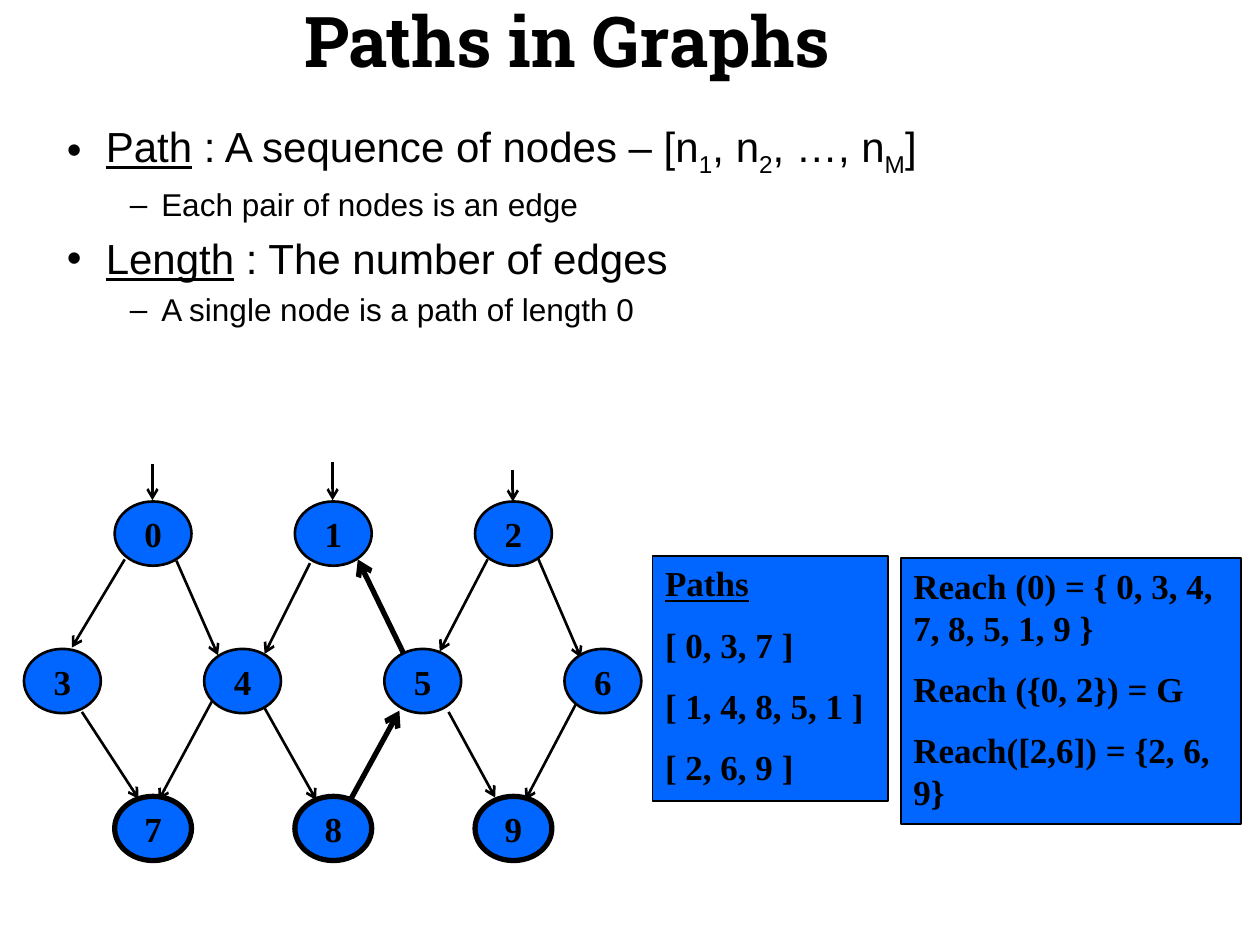
from dataclasses import dataclass

from lxml import etree
from pptx import Presentation
from pptx import util as u
from pptx.dml.color import RGBColor
from pptx.enum import shapes, text
from pptx.oxml import ns


@dataclass(frozen=True)
class Theme:
    """Colours, fonts and sizes of the slide."""
    ink: RGBColor = RGBColor(0, 0, 0)
    fill: RGBColor = RGBColor(0, 0x66, 0xFF)
    title_font: str = "Roboto Slab"
    body_font: str = "Arial"
    graph_font: str = "Times New Roman"
    title_size: int = 40
    topic_size: int = 24
    detail_size: int = 18
    graph_size: int = 20
    thin: float = 1.5
    thick: float = 3


THEME = Theme()

TOPICS = [
    (0, [("Path", "u"), (" : A sequence of nodes – [n", ""), ("1", "sub"), (", n", ""),
         ("2", "sub"), (", …, n", ""), ("M", "sub"), ("]", "")]),
    (1, [("Each pair of nodes is an edge", "")]),
    (0, [("Length", "u"), (" : The number of edges", "")]),
    (1, [("A single node is a path of length 0", "")]),
]

NODE_SIZE = (0.61, 0.51)
COLUMN_GAP, ROW_GAP = 1.43, 1.17
NODE_ROWS = [(0.72, "012", THEME.thin), (0, "3456", THEME.thin), (0.72, "789", THEME.thick)]

ARROWS = [
    (1.02, 0.01, 1.02, 0.30), (2.45, 0, 2.45, 0.30), (3.88, 0.06, 3.88, 0.31),
    (0.80, 0.77, 0.38, 1.47), (1.21, 0.78, 1.54, 1.53), (2.27, 0.80, 1.91, 1.52),
    (3.68, 0.77, 3.30, 1.50), (4.08, 0.76, 4.42, 1.55), (0.46, 1.98, 0.91, 2.67),
    (1.49, 1.90, 1.07, 2.68), (1.91, 1.95, 2.32, 2.68), (3.37, 1.98, 3.74, 2.66),
    (4.38, 1.92, 3.98, 2.68),
]
CYCLE_ARROWS = [(2.59, 2.68, 2.98, 1.97), (3.02, 1.53, 2.65, 0.77)]

PATHS = ["Paths", "[ 0, 3, 7 ]", "[ 1, 4, 8, 5, 1 ]", "[ 2, 6, 9 ]"]
REACH = ["Reach (0) = { 0, 3, 4, 7, 8, 5, 1, 9 }", "Reach ({0, 2}) = G",
         "Reach([2,6]) = {2, 6, 9}"]


def place(shape, box):
    """Move a shape to a box given in inches."""
    shape.left, shape.top, shape.width, shape.height = map(u.Inches, box)


def style(para, name, size, bold=False):
    """Set the font of a whole paragraph."""
    font = para.font
    font.name, font.size, font.bold = name, u.Pt(size), bold
    font.color.rgb = THEME.ink


def add_title(page, box):
    """Fill the title placeholder."""
    title = page.shapes.title
    place(title, box)
    frame = title.text_frame
    frame.text = "Paths in Graphs"
    frame.auto_size = text.MSO_AUTO_SIZE.NONE
    frame.vertical_anchor = text.MSO_ANCHOR.MIDDLE
    para = frame.paragraphs[0]
    para.alignment = text.PP_ALIGN.CENTER
    style(para, THEME.title_font, THEME.title_size, True)


def set_bullet(para, mark, margin, indent):
    """Give a paragraph a bullet and a hanging indent."""
    props = para._p.get_or_add_pPr()
    props.set("marL", str(u.Inches(margin)))
    props.set("indent", str(u.Inches(indent)))
    etree.SubElement(props, ns.qn("a:buChar")).set("char", mark)


def add_topics(page, box):
    """Fill the body placeholder with two levels of bullets."""
    body = page.placeholders[1]
    place(body, box)
    frame = body.text_frame
    frame.auto_size = text.MSO_AUTO_SIZE.NONE
    for index, (level, spans) in enumerate(TOPICS):
        para = frame.add_paragraph() if index else frame.paragraphs[0]
        size = THEME.detail_size if level else THEME.topic_size
        para.level = level
        para.space_before = u.Pt(round(size * 0.23, 1) if index else 0)
        set_bullet(para, *(("–", 0.75, -0.25) if level else ("•", 0.31, -0.31)))
        style(para, THEME.body_font, size)
        for words, look in spans:
            span = para.add_run()
            span.text = words
            if look == "u":
                span.font.underline = True
            elif look == "sub":
                span.font._element.set("baseline", "-25000")


def add_block(page, kind, box, width):
    """Add a filled, outlined shape."""
    block = page.shapes.add_shape(kind, *map(u.Inches, box))
    block.shadow.inherit = False
    block.fill.solid()
    block.fill.fore_color.rgb = THEME.fill
    block.line.color.rgb = THEME.ink
    block.line.width = u.Pt(width)
    return block


def add_node(page, box, label, width):
    """Add one labelled graph node."""
    frame = add_block(page, shapes.MSO_SHAPE.OVAL, box, width).text_frame
    frame.margin_left = frame.margin_right = frame.margin_top = frame.margin_bottom = 0
    frame.word_wrap = False
    frame.vertical_anchor = text.MSO_ANCHOR.MIDDLE
    frame.text = label
    para = frame.paragraphs[0]
    para.alignment = text.PP_ALIGN.CENTER
    style(para, THEME.graph_font, THEME.graph_size, True)


def add_arrow(page, ends, width):
    """Add an arrow between two points in inches."""
    arrow = page.shapes.add_connector(shapes.MSO_CONNECTOR.STRAIGHT, *map(u.Inches, ends))
    arrow.line.color.rgb = THEME.ink
    arrow.line.width = u.Pt(width)
    etree.SubElement(arrow.line._get_or_add_ln(), ns.qn("a:tailEnd")).set("type", "arrow")
    etree.SubElement(arrow._element.spPr, ns.qn("a:effectLst"))


def add_graph(page, left, top):
    """Draw the arrows and the staggered rows of nodes."""
    for group, width in ((ARROWS, THEME.thin), (CYCLE_ARROWS, THEME.thick)):
        for x1, y1, x2, y2 in group:
            add_arrow(page, (left + x1, top + y1, left + x2, top + y2), width)
    for row, (shift, labels, width) in enumerate(NODE_ROWS):
        for column, label in enumerate(labels):
            corner = (left + shift + column * COLUMN_GAP, top + 0.31 + row * ROW_GAP)
            add_node(page, corner + NODE_SIZE, label, width)


def add_panel(page, box, lines, headed=False):
    """Add a rectangle that lists lines of text."""
    frame = add_block(page, shapes.MSO_SHAPE.RECTANGLE, box, 1).text_frame
    frame.word_wrap = True
    frame.vertical_anchor = text.MSO_ANCHOR.TOP
    for index, line in enumerate(lines):
        para = frame.add_paragraph() if index else frame.paragraphs[0]
        para.text = line
        para.alignment = text.PP_ALIGN.LEFT
        para.space_before = u.Pt(11 if index else 0)
        style(para, THEME.graph_font, THEME.graph_size, True)
        para.font.underline = headed and index == 0
        para.runs[0].font.underline = headed and index == 0


def main():
    """Build and save the deck."""
    deck = Presentation()
    deck.slide_width, deck.slide_height = u.Inches(10), u.Inches(7.5)
    page = deck.slides.add_slide(deck.slide_layouts.get_by_name("Title and Content"))
    add_title(page, (0, 0, 9, 0.62))
    add_topics(page, (0.43, 0.91, 9, 2.38))
    add_graph(page, 0.19, 3.67)
    add_panel(page, (5.18, 4.41, 1.87, 1.95), PATHS, headed=True)
    add_panel(page, (7.15, 4.43, 2.7, 2.11), REACH)
    deck.save("out.pptx")


main()
